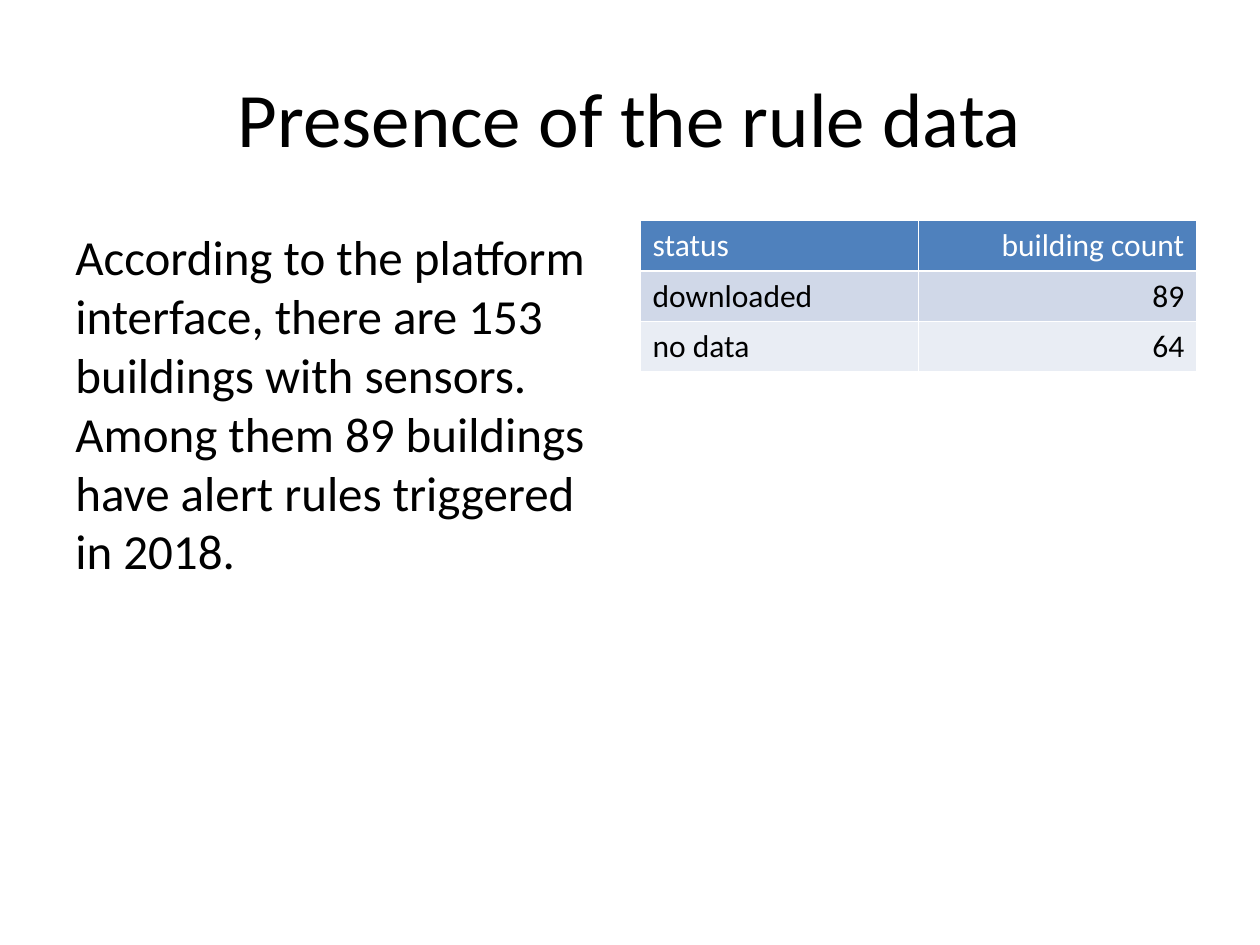
from dataclasses import dataclass

from pptx import Presentation
from pptx.dml.color import RGBColor
from pptx.enum import text as t
from pptx.util import Inches, Pt


@dataclass(frozen=True)
class Theme:
    font: str = "Calibri"
    ink: str = "000000"
    header_ink: str = "FFFFFF"
    header_fill: str = "4F81BD"
    bands: tuple = ("D0D8E8", "E9EDF4")
    title_size: int = 44
    body_size: int = 28
    table_size: int = 18


THEME = Theme()
STATUS_ROWS = [("status", "building count"), ("downloaded", "89"), ("no data", "64")]


def write_text(tf, text, size, color=THEME.ink, align=t.PP_ALIGN.LEFT):
    p = tf.paragraphs[0]
    p.alignment = align
    r = p.add_run()
    r.text = text
    r.font.name = THEME.font
    r.font.size = Pt(size)
    r.font.bold = False
    r.font.color.rgb = RGBColor.from_string(color)


def add_text(s, left, top, width, height, text, anchor=t.MSO_ANCHOR.TOP, **fmt):
    box = s.shapes.add_textbox(Inches(left), Inches(top), Inches(width), Inches(height))
    tf = box.text_frame
    tf.word_wrap = True
    tf.vertical_anchor = anchor
    write_text(tf, text, **fmt)


def add_status_table(s, left, top, width, height, rows):
    table = s.shapes.add_table(
        len(rows), len(rows[0]), Inches(left), Inches(top), Inches(width), Inches(height)
    ).table
    for i, row in enumerate(rows):
        header = i == 0
        fill = THEME.header_fill if header else THEME.bands[(i - 1) % 2]
        color = THEME.header_ink if header else THEME.ink
        for j, value in enumerate(row):
            cell = table.cell(i, j)
            cell.fill.solid()
            cell.fill.fore_color.rgb = RGBColor.from_string(fill)
            align = t.PP_ALIGN.RIGHT if j else t.PP_ALIGN.LEFT
            write_text(cell.text_frame, value, THEME.table_size, color, align)


def main():
    prs = Presentation()
    prs.slide_width, prs.slide_height = Inches(10), Inches(7.5)
    s = prs.slides.add_slide(prs.slide_layouts[6])
    add_text(
        s, 0.5, 1.75, 4.42, 4.95,
        "According to the platform interface, there are 153 buildings with sensors. "
        "Among them 89 buildings have alert rules triggered in 2018.",
        size=THEME.body_size,
    )
    add_status_table(s, 5.08, 1.75, 4.42, 1.2, STATUS_ROWS)
    add_text(
        s, 0.5, 0.3, 9, 1.25, "Presence of the rule data",
        anchor=t.MSO_ANCHOR.MIDDLE, size=THEME.title_size, align=t.PP_ALIGN.CENTER,
    )
    prs.save("out.pptx")


if __name__ == "__main__":
    main()
